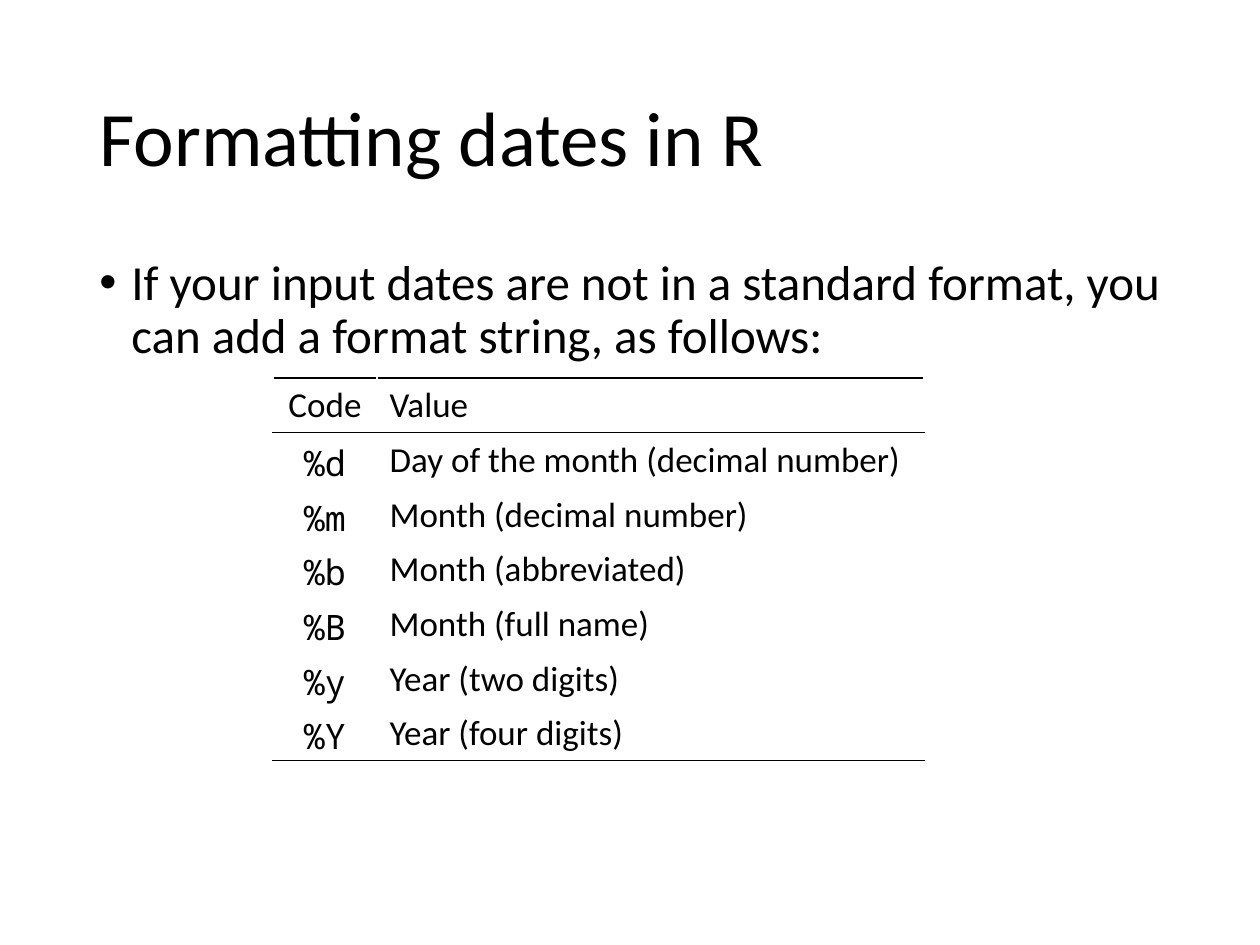
from lxml import etree
from pptx import Presentation
from pptx.dml.color import RGBColor
from pptx.enum.text import MSO_ANCHOR, PP_ALIGN
from pptx.oxml.ns import qn
from pptx.util import Emu, Pt

LEFT, CENTER = PP_ALIGN.LEFT, PP_ALIGN.CENTER
TOP, MIDDLE = MSO_ANCHOR.TOP, MSO_ANCHOR.MIDDLE

# Content
TITLE = "Formatting dates in R"
BULLET = "If your input dates are not in a standard format, you can add a format string, as follows:"
ROWS = [
    ("Code", "Value"),
    ("%d", "Day of the month (decimal number)"),
    ("%m", "Month (decimal number)"),
    ("%b", "Month (abbreviated)"),
    ("%B", "Month (full name)"),
    ("%y", "Year (two digits)"),
    ("%Y", "Year (four digits)"),
]

# Theme and layout (px)
THEME = {
    "ink": "000000", "paper": "FFFFFF",
    "font": "Calibri", "code_font": "Noto Sans Mono",
    "title": 44, "body": 28, "table": 20, "rule": 1,
}
SLIDE = (1260, 945)
TITLE_BOX = (87, 50, 1086, 183)
BODY_BOX = (87, 252, 1086, 600)
TABLE_AT = (273, 378)
COLUMNS = (104, 547)
ROW_HEIGHT = 52
BULLET_INDENT = 32


def px(value):
    return Emu(round(value * 914400 / 126))


def write(frame, text, *, size, font=THEME["font"], align=LEFT, spacing=None, before=0):
    paragraph = frame.paragraphs[0]
    paragraph.alignment = align
    paragraph.line_spacing = spacing
    paragraph.space_before = Pt(before)
    run = paragraph.add_run()
    run.text = text
    run.font.size = Pt(size)
    run.font.name = font
    run.font.color.rgb = RGBColor.from_string(THEME["ink"])
    return paragraph


def add_text_box(slide, box, text, *, anchor=TOP, **text_format):
    frame = slide.shapes.add_textbox(*map(px, box)).text_frame
    frame.word_wrap = True
    frame.vertical_anchor = anchor
    return write(frame, text, spacing=0.9, **text_format)


def add_bullet(paragraph):
    properties = paragraph._p.get_or_add_pPr()
    properties.set("marL", str(px(BULLET_INDENT)))
    properties.set("indent", str(-px(BULLET_INDENT)))
    etree.SubElement(properties, qn("a:buFont"), typeface="Arial")
    etree.SubElement(properties, qn("a:buChar"), char="•")


def set_borders(cell, **colors):
    properties = cell._tc.get_or_add_tcPr()
    for side in "LRTB":
        line = etree.SubElement(properties, qn(f"a:ln{side}"), w=str(Pt(THEME["rule"])))
        fill = etree.SubElement(line, qn("a:solidFill"))
        etree.SubElement(fill, qn("a:srgbClr"), val=colors.get(side, THEME["paper"]))


def add_code_table(slide):
    last = len(ROWS) - 1
    size = (sum(COLUMNS), ROW_HEIGHT * len(ROWS))
    table = slide.shapes.add_table(
        len(ROWS), len(COLUMNS), *map(px, TABLE_AT + size)).table
    table.first_row = table.horz_banding = False
    for column, width in zip(table.columns, COLUMNS):
        column.width = px(width)
    for i, values in enumerate(ROWS):
        # Rules above and below the header, and under the last row
        rules = {}
        if i in (0, 1):
            rules["T"] = THEME["ink"]
        if i in (0, last):
            rules["B"] = THEME["ink"]
        for j, text in enumerate(values):
            cell = table.cell(i, j)
            set_borders(cell, **rules)
            cell.fill.solid()
            cell.fill.fore_color.rgb = RGBColor.from_string(THEME["paper"])
            is_code = i > 0 and j == 0
            write(cell.text_frame, text, size=THEME["table"],
                  font=THEME["code_font" if is_code else "font"],
                  align=CENTER if j == 0 else LEFT)


def main():
    presentation = Presentation()
    presentation.slide_width, presentation.slide_height = map(px, SLIDE)
    slide = presentation.slides.add_slide(presentation.slide_layouts[6])

    add_text_box(slide, TITLE_BOX, TITLE, size=THEME["title"], anchor=MIDDLE)
    add_bullet(add_text_box(slide, BODY_BOX, BULLET, size=THEME["body"], before=10))
    add_code_table(slide)

    presentation.save("out.pptx")


if __name__ == "__main__":
    main()
